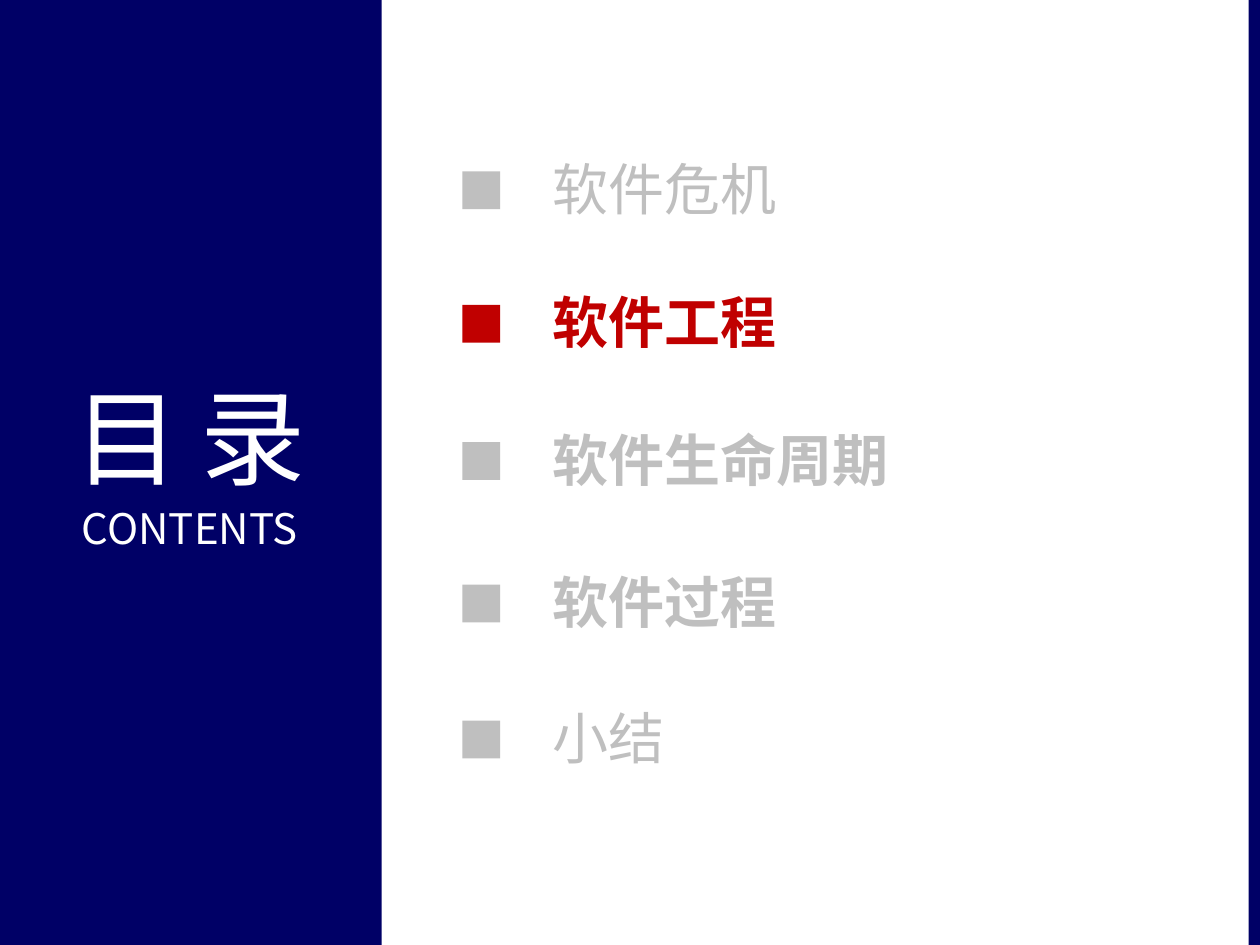
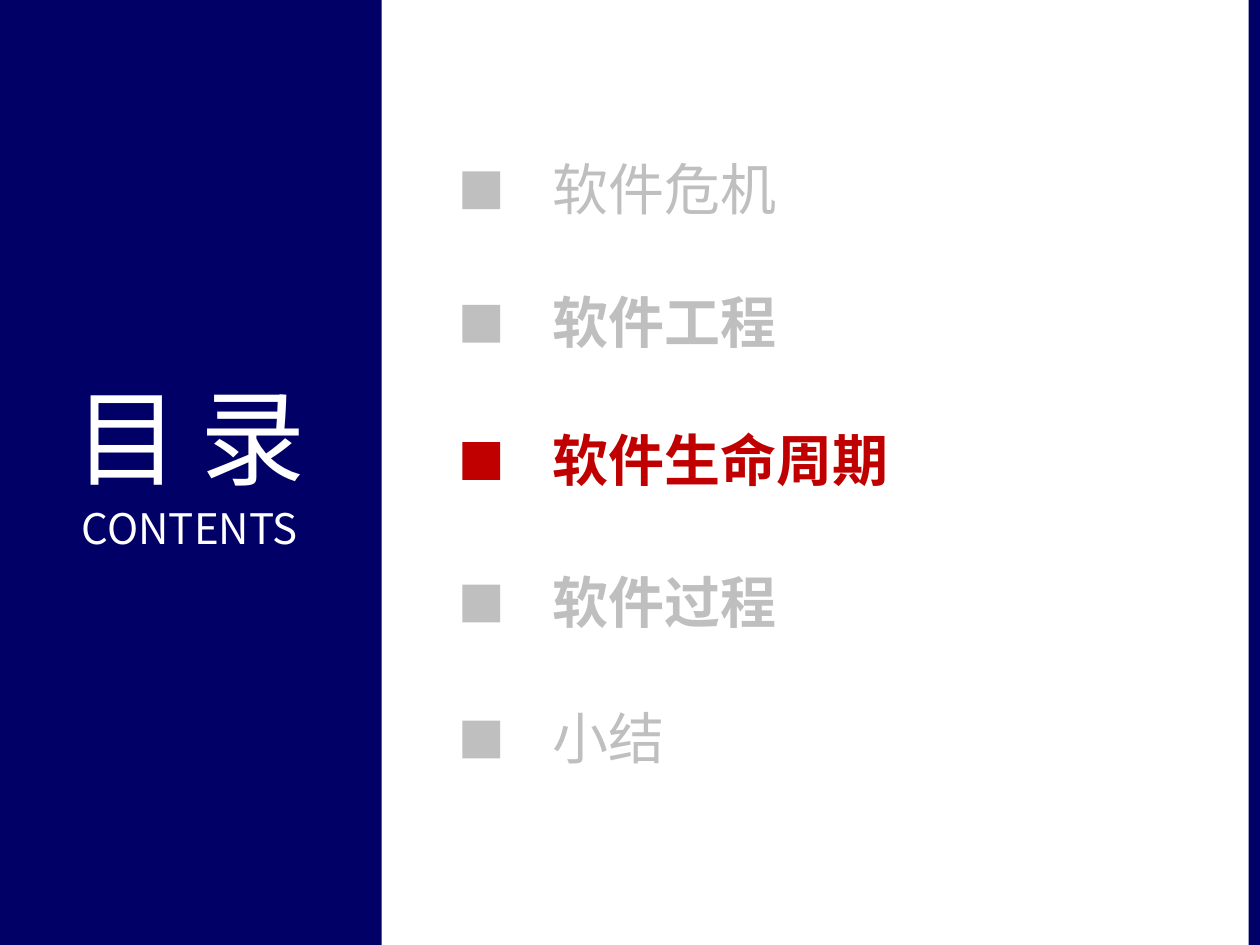
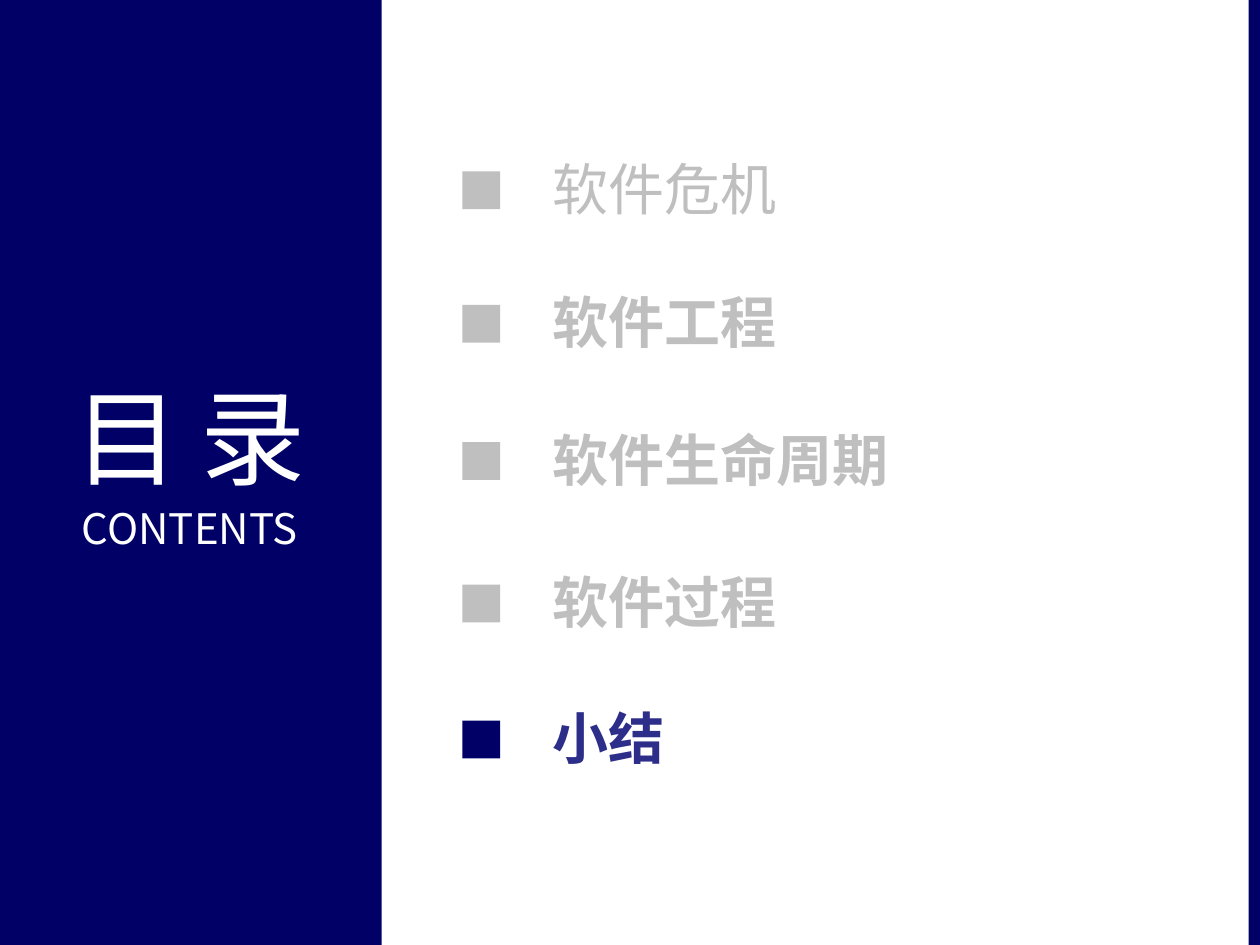
from pptx import Presentation
from pptx.dml.color import RGBColor
from pptx.enum.shapes import MSO_SHAPE as Shape
from pptx.enum.text import MSO_ANCHOR as Anchor, PP_ALIGN as Align
from pptx.oxml.ns import qn
from pptx.util import Pt
from lxml.etree import SubElement

FONT = "Noto Sans CJK SC"
NAVY, INDIGO, RED, GREY, WHITE = "000066", "2D2D8A", "C00000", "BFBFBF", "FFFFFF"
PANEL_LEFT, PANEL_WIDTH = -1.44, 219.6
MARKER_SIZE = 21.6

# Topic, top of its marker, bold even when not current
TOPICS = [
    ("软件危机", 97.9, False),
    ("软件工程", 174.2, True),
    ("软件生命周期", 252.7, True),
    ("软件过程", 334.1, True),
    ("小结", 411.8, False),
]
# Current topic of each page, its marker colour and its text colour
PAGES = [
    ("软件工程", RED, RED),
    ("软件生命周期", RED, RED),
    ("小结", NAVY, INDIGO),
]


def add_block(page, left, top, width, height, color):
    """Add a plain filled rectangle."""
    block = page.shapes.add_shape(Shape.RECTANGLE, Pt(left), Pt(top), Pt(width), Pt(height))
    block.shadow.inherit = False
    block.fill.solid()
    block.fill.fore_color.rgb = RGBColor.from_string(color)
    block.line.fill.background()


def add_text(page, left, top, width, height, lines, color, bold=False, align=Align.LEFT):
    """Add a text box; each line is (text, size, letter spacing, space before)."""
    box = page.shapes.add_textbox(Pt(left), Pt(top), Pt(width), Pt(height))
    frame = box.text_frame
    frame.word_wrap = True
    frame.vertical_anchor = Anchor.MIDDLE
    frame.margin_top = frame.margin_bottom = 0
    for number, (text, size, spacing, before) in enumerate(lines):
        para = frame.add_paragraph() if number else frame.paragraphs[0]
        para.alignment = align
        if before:
            para.space_before = Pt(before)
        span = para.add_run()
        span.text = text
        span.font.size = Pt(size)
        span.font.bold = bold
        span.font.name = FONT
        span.font.color.rgb = RGBColor.from_string(color)
        properties = span.font._element
        SubElement(properties, qn("a:ea")).set("typeface", FONT)
        if spacing:
            properties.set("spc", str(spacing * 100))


deck = Presentation()
deck.slide_width, deck.slide_height = Pt(720), Pt(540)

for current, marker_color, text_color in PAGES:
    page = deck.slides.add_slide(deck.slide_layouts[6])
    add_block(page, PANEL_LEFT, 0, PANEL_WIDTH, 540, NAVY)
    add_text(page, PANEL_LEFT, 202.2, PANEL_WIDTH, 124.2,
             [("目录", 60, 12, 0), ("CONTENTS", 24, 0, 2.5)], WHITE, align=Align.CENTER)
    add_block(page, 713.5, 0, 6.5, 540, NAVY)

    for topic, top, bold in TOPICS:
        active = topic == current
        add_block(page, 264.2, top, MARKER_SIZE, MARKER_SIZE, marker_color if active else GREY)
        add_text(page, 308.9, top - 13.5, 348.5, 46, [(topic, 32, 0, 0)],
                 text_color if active else GREY, bold or active)

deck.save("out.pptx")
